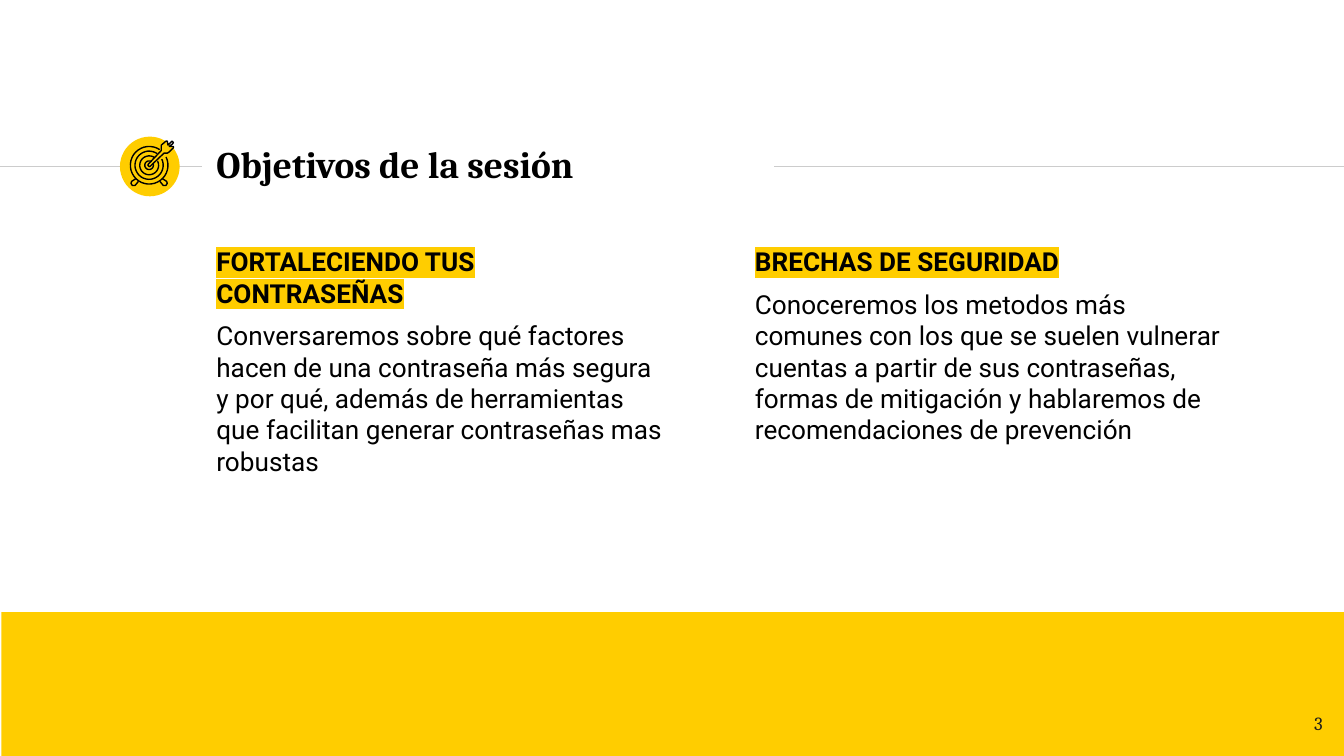
import math

import lxml.etree
import pptx
import pptx.dml.color
import pptx.enum.shapes
import pptx.enum.text
import pptx.oxml.ns
import pptx.util

# The slide is a grid of square cells, 100 columns by 56.25 rows
CELL = pptx.util.Inches(0.1)
COLUMNS, ROWS = 100, 56.25
RULE_ROW = 12.4
TARGET_CENTER = (11.1, 12.3)


class Theme:
    YELLOW = "FFCD00"
    BLACK = "000000"
    INK = "1D1D1B"
    RULE = "CCCCCC"
    HEADING_FONT = "Cambria"
    BODY_FONT = "Roboto"
    TITLE_SIZE = 20
    BODY_SIZE = 14
    NUMBER_SIZE = 10
    LINE_WIDTH = 0.75
    PARAGRAPH_GAP = 6


TOPICS = [
    ((15.1, 17.27, 35.3, 24.1), "FORTALECIENDO TUS CONTRASEÑAS",
     "Conversaremos sobre qué factores hacen de una contraseña más segura y por qué, "
     "además de herramientas que facilitan generar contraseñas mas robustas"),
    ((55.17, 17.27, 36.8, 24.1), "BRECHAS DE SEGURIDAD",
     "Conoceremos los metodos más comunes con los que se suelen vulnerar cuentas a partir "
     "de sus contraseñas, formas de mitigación y hablaremos de recomendaciones de prevención"),
]

# Target icon: ring radii, left foot and dart, in grid cells
RING_RADII = [1.4, 1.05, 0.7, 0.32]
LEFT_FOOT = [(10.1, 13.3), (9.8, 13.5), (9.75, 13.65), (9.85, 13.8), (10.05, 13.8), (10.3, 13.5)]
DART = [(12.8, 10.9), (12.6, 10.9), (12.85, 10.7), (12.9, 10.6), (12.8, 10.5), (12.7, 10.6),
        (12.5, 10.8), (12.45, 10.5), (12.35, 10.5), (12, 10.8), (12, 11.2), (11.05, 12.2),
        (11, 12.3), (11.1, 12.4), (11.2, 12.35), (12.2, 11.4), (12.45, 11.4), (12.6, 11.3),
        (12.9, 11), (12.9, 10.9)]


def cells(*counts):
    return [round(count * CELL) for count in counts]


def rgb(color):
    return pptx.dml.color.RGBColor.from_string(color)


def set_line(line, color):
    line.color.rgb = rgb(color)
    line.width = pptx.util.Pt(Theme.LINE_WIDTH)


def add_block(slide, preset, box):
    block = slide.shapes.add_shape(preset, *cells(*box))
    block.shadow.inherit = False
    block.fill.solid()
    block.fill.fore_color.rgb = rgb(Theme.YELLOW)
    block.line.fill.background()


def add_rule(slide, start, end):
    rule = slide.shapes.add_connector(pptx.enum.shapes.MSO_CONNECTOR.STRAIGHT,
                                      *cells(start, RULE_ROW, end, RULE_ROW))
    set_line(rule.line, Theme.RULE)
    lxml.etree.SubElement(rule._element.spPr, pptx.oxml.ns.qn("a:effectLst"))


def add_outline(slide, points, close=False):
    start, *rest = [cells(*point) for point in points]
    builder = slide.shapes.build_freeform(*start, scale=1.0)
    builder.add_line_segments(rest, close=close)
    outline = builder.convert_to_shape()
    outline.shadow.inherit = False
    outline.fill.background()
    set_line(outline.line, Theme.BLACK)


def prepare_text(holder, box, anchor):
    holder.left, holder.top, holder.width, holder.height = cells(*box)
    frame = holder.text_frame
    frame.word_wrap = True
    frame.auto_size = pptx.enum.text.MSO_AUTO_SIZE.NONE
    frame.vertical_anchor = anchor
    frame.margin_left = frame.margin_top = frame.margin_right = frame.margin_bottom = CELL
    return frame


def add_run(paragraph, text, font, size, color=Theme.BLACK, bold=False, highlight=None):
    run = paragraph.add_run()
    run.text = text
    run.font.size = pptx.util.Pt(size)
    run.font.bold = bold
    run.font.color.rgb = rgb(color)
    run.font.name = font
    if highlight:
        qn = pptx.oxml.ns.qn
        marker = lxml.etree.Element(qn("a:highlight"))
        lxml.etree.SubElement(marker, qn("a:srgbClr"), val=highlight)
        run.font._element.find(qn("a:solidFill")).addnext(marker)


def fill_title(slide, text, box):
    frame = prepare_text(slide.shapes.title, box, pptx.enum.text.MSO_ANCHOR.MIDDLE)
    heading = frame.paragraphs[0]
    heading.alignment = pptx.enum.text.PP_ALIGN.LEFT
    add_run(heading, text, Theme.HEADING_FONT, Theme.TITLE_SIZE, bold=True)


def fill_topic(holder, box, heading, description):
    frame = prepare_text(holder, box, pptx.enum.text.MSO_ANCHOR.TOP)
    for paragraph in (frame.paragraphs[0], frame.add_paragraph()):
        paragraph.space_before = pptx.util.Pt(Theme.PARAGRAPH_GAP)
        properties = paragraph._p.get_or_add_pPr()
        properties.set("marL", "0")
        properties.set("indent", "0")
        lxml.etree.SubElement(properties, pptx.oxml.ns.qn("a:buNone"))
    add_run(frame.paragraphs[0], heading, Theme.BODY_FONT, Theme.BODY_SIZE,
            bold=True, highlight=Theme.YELLOW)
    add_run(frame.paragraphs[1], description, Theme.BODY_FONT, Theme.BODY_SIZE)


def add_page_number(slide, number, box):
    holder = slide.shapes.add_textbox(*cells(*box))
    frame = prepare_text(holder, box, pptx.enum.text.MSO_ANCHOR.TOP)
    frame.paragraphs[0].alignment = pptx.enum.text.PP_ALIGN.RIGHT
    add_run(frame.paragraphs[0], number, Theme.HEADING_FONT, Theme.NUMBER_SIZE, Theme.INK)


def add_target(slide):
    center_x, center_y = TARGET_CENTER
    # Rings stay open at the upper right, where the dart enters
    for radius in RING_RADII:
        angles = [math.radians(degrees) for degrees in range(56, 396, 10)]
        add_outline(slide, [(center_x + radius * math.cos(angle),
                             center_y - radius * math.sin(angle)) for angle in angles])
    # Feet mirror each other
    add_outline(slide, LEFT_FOOT)
    add_outline(slide, [(2 * center_x - x, y) for x, y in LEFT_FOOT])
    add_outline(slide, DART, close=True)


def main():
    deck = pptx.Presentation()
    deck.slide_width, deck.slide_height = cells(COLUMNS, ROWS)
    slide = deck.slides.add_slide(deck.slide_layouts.get_by_name("Two Content"))
    shapes = pptx.enum.shapes.MSO_SHAPE

    # Heading band
    add_rule(slide, 0, 15)
    add_rule(slide, 57.6, COLUMNS)
    add_block(slide, shapes.OVAL, (8.93, 10.17, 4.44, 4.44))
    add_target(slide)
    fill_title(slide, "Objetivos de la sesión", (15.1, 9.8, 42.4, 4.8))

    # Two topics
    topic_holders = list(slide.placeholders)[1:]
    for holder, (box, heading, description) in zip(topic_holders, TOPICS):
        fill_topic(holder, box, heading, description)

    # Footer band
    band_height = 10.7
    add_block(slide, shapes.RECTANGLE, (0.1, ROWS - band_height, COLUMNS, band_height))
    number_height = 4.3
    add_page_number(slide, "3", (93.4, ROWS - number_height, 6, number_height))

    deck.save("out.pptx")


if __name__ == "__main__":
    main()
